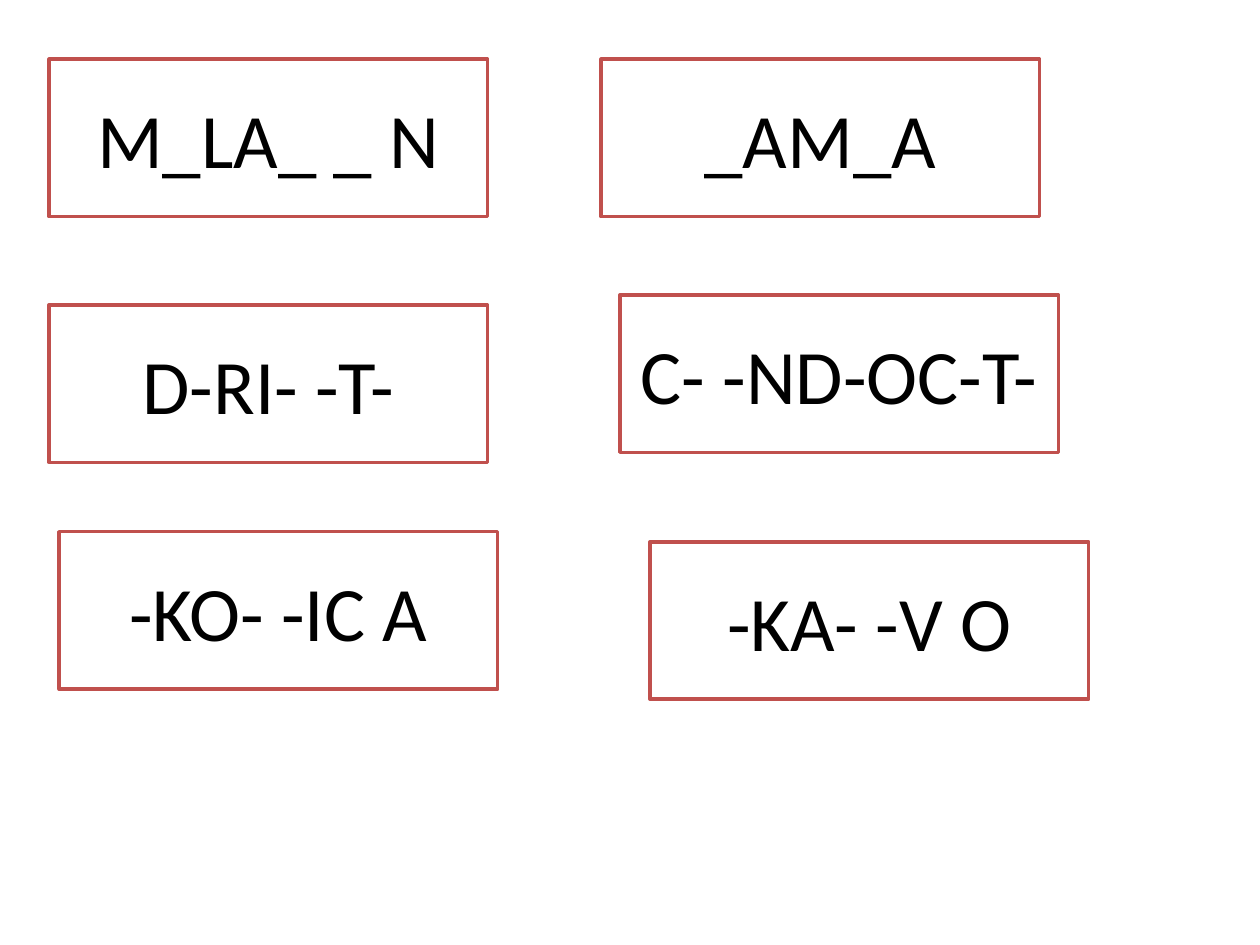
from pptx import Presentation
from pptx.dml.color import RGBColor
from pptx.enum import shapes, text
from pptx.util import Inches, Pt

COLORS = {"fill": "FFFFFF", "border": "C0504D", "text": "000000"}

prs = Presentation()
prs.slide_width, prs.slide_height = Inches(10), Inches(7.5)
s = prs.slides.add_slide(prs.slide_layouts[6])

# Word puzzles: left, top, letters with gaps
puzzles = [
    (0.39, 0.47, "M_LA_ _ N"),
    (4.77, 0.47, "_AM_A"),
    (0.39, 2.42, "D-RI- -T-"),
    (4.92, 2.34, "C- -ND-OC-T-"),
    (0.47, 4.22, "-KO- -IC A"),
    (5.16, 4.3, "-KA- -V O"),
]

# One bordered card per word
for left, top, word in puzzles:
    sp = s.shapes.add_shape(shapes.MSO_SHAPE.RECTANGLE, Inches(left), Inches(top),
                            Inches(3.48), Inches(1.25))
    sp.shadow.inherit = False
    sp.fill.solid()
    sp.fill.fore_color.rgb = RGBColor.from_string(COLORS["fill"])
    sp.line.color.rgb = RGBColor.from_string(COLORS["border"])
    sp.line.width = Pt(2)

    tf = sp.text_frame
    tf.word_wrap = True
    tf.vertical_anchor = text.MSO_ANCHOR.MIDDLE
    p = tf.paragraphs[0]
    p.text = word
    p.alignment = text.PP_ALIGN.CENTER
    p.font.name = "Calibri"
    p.font.size = Pt(44)
    p.font.color.rgb = RGBColor.from_string(COLORS["text"])

prs.save("out.pptx")
